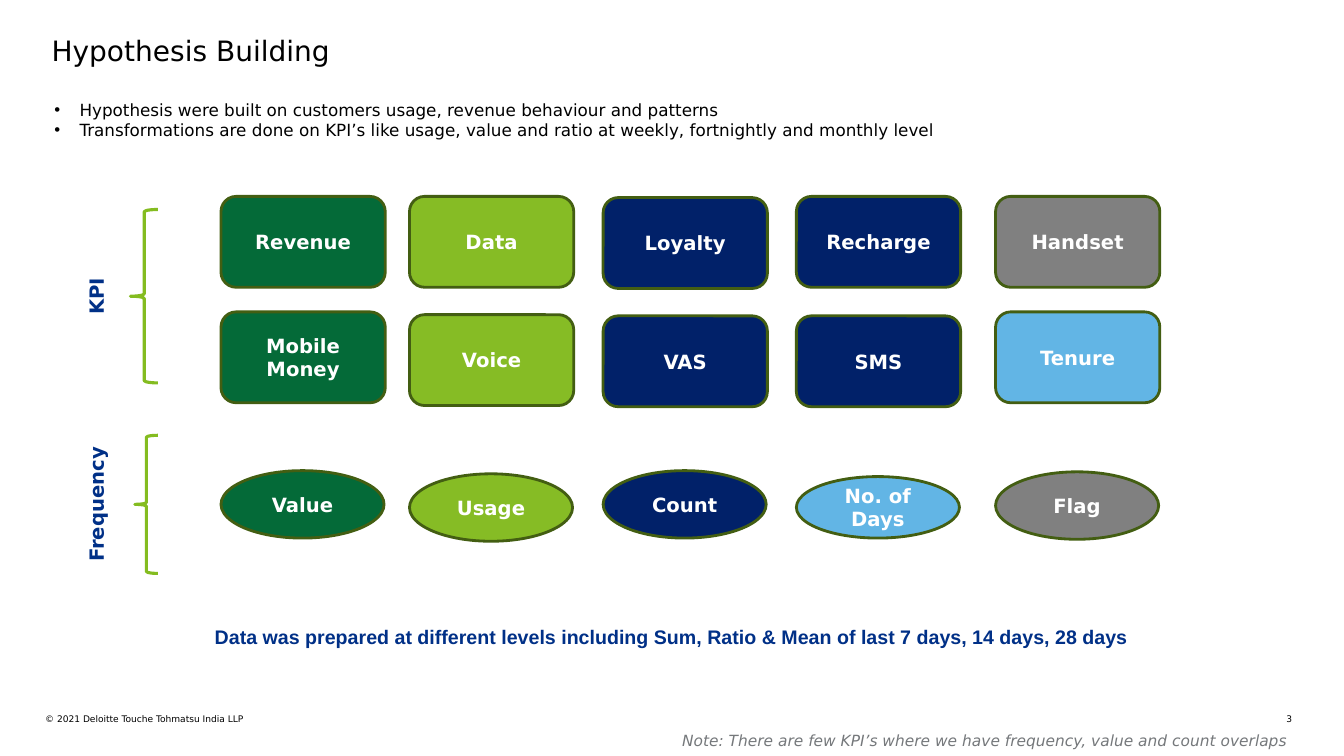
from lxml import etree
from pptx import Presentation
from pptx.dml.color import RGBColor
from pptx.enum.shapes import MSO_SHAPE as SHAPE
from pptx.enum.text import MSO_ANCHOR as ANCHOR, MSO_AUTO_SIZE as AUTO, PP_ALIGN as ALIGN
from pptx.oxml.ns import qn
from pptx.util import Cm, Pt

FONT = "DejaVu Sans"
BLACK, WHITE, NAVY_TEXT, NOTE_GREY = "000000", "FFFFFF", "003087", "75787B"
GREEN, LIME, NAVY, SKY, GREY = "046A38", "86BC25", "012169", "62B5E5", "808080"
OUTLINE, BRACE = "435E12", "84BC20"

COLUMNS = [0, 4.75, 9.63, 14.5, 19.52]
# Each item: label, fill, drop below the top of its row
KPI_ROWS = [
    [("Revenue", GREEN, 0), ("Data", LIME, 0), ("Loyalty", NAVY, 0.03),
     ("Recharge", NAVY, 0), ("Handset", GREY, 0)],
    [("Mobile Money", GREEN, 0), ("Voice", LIME, 0.07), ("VAS", NAVY, 0.1),
     ("SMS", NAVY, 0.1), ("Tenure", SKY, 0)],
]
FREQUENCIES = [("Value", GREEN, 0), ("Usage", LIME, 0.08), ("Count", NAVY, 0),
               ("No. of Days", SKY, 0.15), ("Flag", GREY, 0.03)]


def rgb(value):
    return RGBColor.from_string(value)


def write(tf, lines, size, color, align=ALIGN.LEFT, inset=None, bullet=None, **extra):
    """Fill a text frame with one paragraph per line, all in one format."""
    tf.word_wrap = True
    if inset is not None:
        for side in ("left", "top", "right", "bottom"):
            setattr(tf, f"margin_{side}", Cm(inset))
    fmt = {"name": FONT, "size": Pt(size), "bold": False, "italic": False, **extra}
    for i, line in enumerate(lines):
        p = tf.paragraphs[0] if i == 0 else tf.add_paragraph()
        p.alignment = align
        if bullet:
            pPr = p._p.get_or_add_pPr()
            pPr.set("marL", str(Cm(0.635)))
            pPr.set("indent", str(-Cm(0.635)))
            etree.SubElement(pPr, qn("a:buFont")).set("typeface", "Arial")
            etree.SubElement(pPr, qn("a:buChar")).set("char", bullet)
        r = p.add_run()
        r.text = line
        for name, value in fmt.items():
            setattr(r.font, name, value)
        r.font.color.rgb = rgb(color)


def add_text(s, box, lines, size, color, **fmt):
    tf = s.shapes.add_textbox(*map(Cm, box)).text_frame
    write(tf, lines, size, color, **fmt)
    return tf


def add_outlined(s, kind, box, line, width):
    sp = s.shapes.add_shape(kind, *map(Cm, box))
    sp.shadow.inherit = False
    sp.line.color.rgb = rgb(line)
    sp.line.width = Pt(width)
    return sp


def add_title(s, box, text):
    title = s.shapes.title
    title.left, title.top, title.width, title.height = map(Cm, box)
    tf = title.text_frame
    tf.auto_size = AUTO.NONE
    tf.vertical_anchor = ANCHOR.TOP
    write(tf, [text], 20, BLACK, inset=0)


def add_row(s, kind, box, items):
    """Place labelled shapes on the shared columns; box gives the size of one shape."""
    left, top, width, height = box
    for x, (label, fill, drop) in zip(COLUMNS, items):
        sp = add_outlined(s, kind, (left + x, top + drop, width, height), OUTLINE, 2)
        sp.fill.solid()
        sp.fill.fore_color.rgb = rgb(fill)
        sp.text_frame.vertical_anchor = ANCHOR.MIDDLE
        write(sp.text_frame, [label], 14, WHITE, align=ALIGN.CENTER, bold=True)


def add_group_label(s, box, label, brace_width):
    """Upward label at the left of the box, brace along its right edge."""
    left, top, width, height = box
    tf = add_text(s, (left, top, 1.12, height), [label], 14, NAVY_TEXT,
                  align=ALIGN.CENTER, bold=True)
    tf._txBody.bodyPr.set("vert", "vert270")
    brace_box = (left + width - brace_width, top, brace_width, height)
    add_outlined(s, SHAPE.LEFT_BRACE, brace_box, BRACE, 2.25).fill.background()


def add_kpis(s, box):
    left, top, height = box
    add_group_label(s, (left, top + 0.33, 1.98, height), "KPI", 0.69)
    for i, items in enumerate(KPI_ROWS):
        add_row(s, SHAPE.ROUNDED_RECTANGLE, (left + 3.57, top + i * 2.91, 4.14, 2.29), items)


def add_frequencies(s, box):
    left, top, height = box
    add_group_label(s, (left, top, 1.98, height), "Frequency", 0.58)
    row_box = (left + 3.57, top + 0.89, 4.11, 1.7)
    add_row(s, SHAPE.OVAL, row_box, FREQUENCIES)
    s.shapes[-2].height = Cm(1.55)


def add_footer(s, box):
    left, top, width, height = box
    add_text(s, (left, top, 12.09, height), ["© 2021 Deloitte Touche Tohmatsu India LLP"],
             6.5, BLACK, inset=0)
    add_text(s, (left + width - 0.86, top, 0.86, height), ["3"], 6.5, BLACK,
             align=ALIGN.RIGHT, inset=0)
    add_text(s, (16.94, top + 0.33, 16.66, 0.74),
             ["Note: There are few KPI’s where we have frequency, value and count overlaps"],
             11, NOTE_GREY, italic=True)


def main():
    prs = Presentation()
    prs.slide_width, prs.slide_height = Cm(33.87), Cm(19.05)
    s = prs.slides.add_slide(prs.slide_layouts[5])
    add_title(s, (1.3, 0.84, 31.27, 1.93), "Hypothesis Building")
    add_text(s, (1.12, 2.39, 29.92, 1.27), [
        "Hypothesis were built on customers usage, revenue behaviour and patterns",
        "Transformations are done on KPI’s like usage, value and ratio at weekly, "
        "fortnightly and monthly level",
    ], 12, BLACK, bullet="•")
    add_kpis(s, (2, 4.95, 4.37))
    add_frequencies(s, (2, 10.97, 3.48))
    add_text(s, (1.12, 15.62, 31.62, 0.86),
             ["Data was prepared at different levels including Sum, Ratio & Mean "
              "of last 7 days, 14 days, 28 days"],
             14, NAVY_TEXT, align=ALIGN.CENTER, bold=True, name="Arial")
    add_footer(s, (1.14, 17.98, 31.42, 0.28))
    prs.save("out.pptx")


if __name__ == "__main__":
    main()
